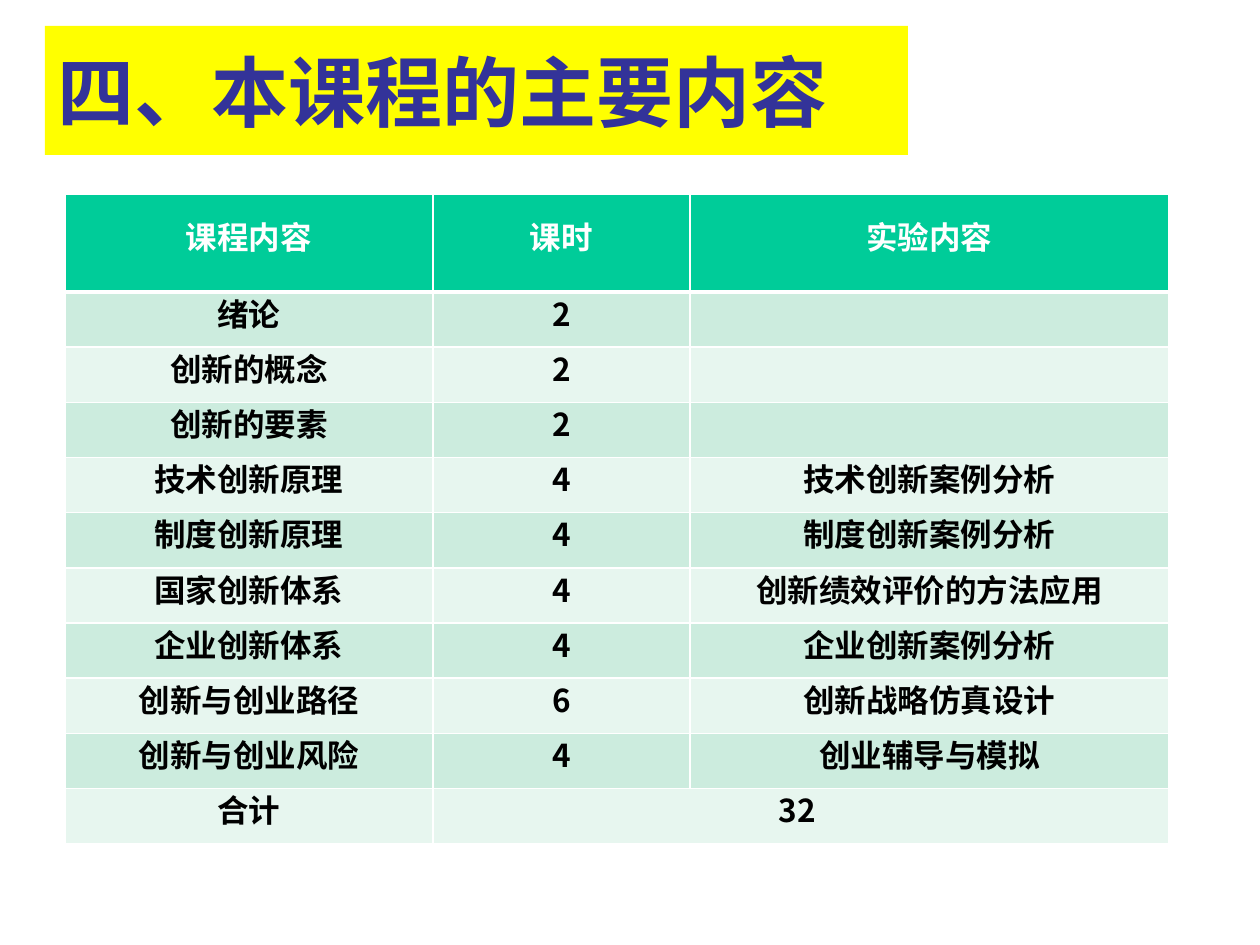
from lxml.etree import SubElement
from pptx import Presentation
from pptx.dml.color import RGBColor
from pptx.enum.shapes import MSO_SHAPE as Shape
from pptx.enum.text import MSO_ANCHOR as Anchor, PP_ALIGN as Align
from pptx.oxml.ns import qn
from pptx.util import Pt

SCALE = 914400 / 126
FONT = "Noto Sans CJK SC"
YELLOW = RGBColor(0xFF, 0xFF, 0x00)
NAVY = RGBColor(0x33, 0x33, 0x99)
GREEN = RGBColor(0x00, 0xCC, 0x99)
MINT = RGBColor(0xCC, 0xEC, 0xDE)
PALE = RGBColor(0xE7, 0xF6, 0xEF)
WHITE = RGBColor(0xFF, 0xFF, 0xFF)
BLACK = RGBColor(0x00, 0x00, 0x00)

HEAD = ["课程内容", "课时", "实验内容"]
BODY = [
    ["绪论", "2", ""],
    ["创新的概念", "2", ""],
    ["创新的要素", "2", ""],
    ["技术创新原理", "4", "技术创新案例分析"],
    ["制度创新原理", "4", "制度创新案例分析"],
    ["国家创新体系", "4", "创新绩效评价的方法应用"],
    ["企业创新体系", "4", "企业创新案例分析"],
    ["创新与创业路径", "6", "创新战略仿真设计"],
    ["创新与创业风险", "4", "创业辅导与模拟"],
    ["合计", "32 ", ""],
]


def px(n):
    return round(n * SCALE)


class Deck:
    def __init__(self, wide, high):
        self.prs = Presentation()
        self.prs.slide_width, self.prs.slide_height = px(wide), px(high)
        self.slide = self.prs.slides.add_slide(self.prs.slide_layouts[6])

    def run(self, para, text, size, color):
        run = para.add_run()
        run.text = text
        font = run.font
        font.name, font.size, font.bold = FONT, Pt(size), True
        font.color.rgb = color
        SubElement(run._r.get_or_add_rPr(), qn("a:ea"), typeface=FONT)

    def title(self, text, *box):
        shape = self.slide.shapes.add_shape(Shape.RECTANGLE, *map(px, box))
        shape.shadow.inherit = False
        shape.fill.solid()
        shape.fill.fore_color.rgb = YELLOW
        shape.line.fill.background()
        frame = shape.text_frame
        frame.word_wrap = True
        frame.vertical_anchor = Anchor.MIDDLE
        para = frame.paragraphs[0]
        para.alignment = Align.LEFT
        self.run(para, text, 44, NAVY)

    def edge(self, cell, top, low):
        """Draw white borders, with the top and bottom widths in points."""
        props = cell._tc.get_or_add_tcPr()
        for side, width in zip("LRTB", (1, 1, top, low)):
            line = SubElement(props, qn(f"a:ln{side}"), w=str(Pt(width)))
            fill = SubElement(line, qn("a:solidFill"))
            SubElement(fill, qn("a:srgbClr"), val=str(WHITE))

    def cell(self, cell, text, row):
        self.edge(cell, 3 if row == 1 else 1, 3 if row == 0 else 1)
        cell.fill.solid()
        cell.fill.fore_color.rgb = (MINT if row % 2 else PALE) if row else GREEN
        cell.vertical_anchor = Anchor.MIDDLE
        cell.margin_left = cell.margin_right = px(9)
        cell.margin_top = cell.margin_bottom = 0
        para = cell.text_frame.paragraphs[0]
        para.alignment = Align.CENTER
        para.line_spacing = Pt(18)
        if text:
            self.run(para, text, 18, BLACK if row else WHITE)

    def table(self, rows, left, top, cols, head, body):
        """Head is the header height; body is shared by the other rows."""
        table = self.slide.shapes.add_table(
            len(rows), len(cols), px(left), px(top), px(sum(cols)), px(head + body)
        ).table
        table.horz_banding = False
        for col, wide in zip(table.columns, cols):
            col.width = px(wide)
        for r, texts in enumerate(rows):
            table.rows[r].height = px(body / (len(rows) - 1) if r else head)
            for c, text in enumerate(texts):
                self.cell(table.cell(r, c), text, r)
        return table


def main():
    deck = Deck(1260, 945)
    deck.title("四、本课程的主要内容", 45, 26, 863, 129)
    table = deck.table([HEAD] + BODY, 65, 194, [368, 257, 479], 98, 552)
    last = len(BODY)
    table.cell(last, 1).merge(table.cell(last, 2))
    deck.prs.save("out.pptx")


if __name__ == "__main__":
    main()
